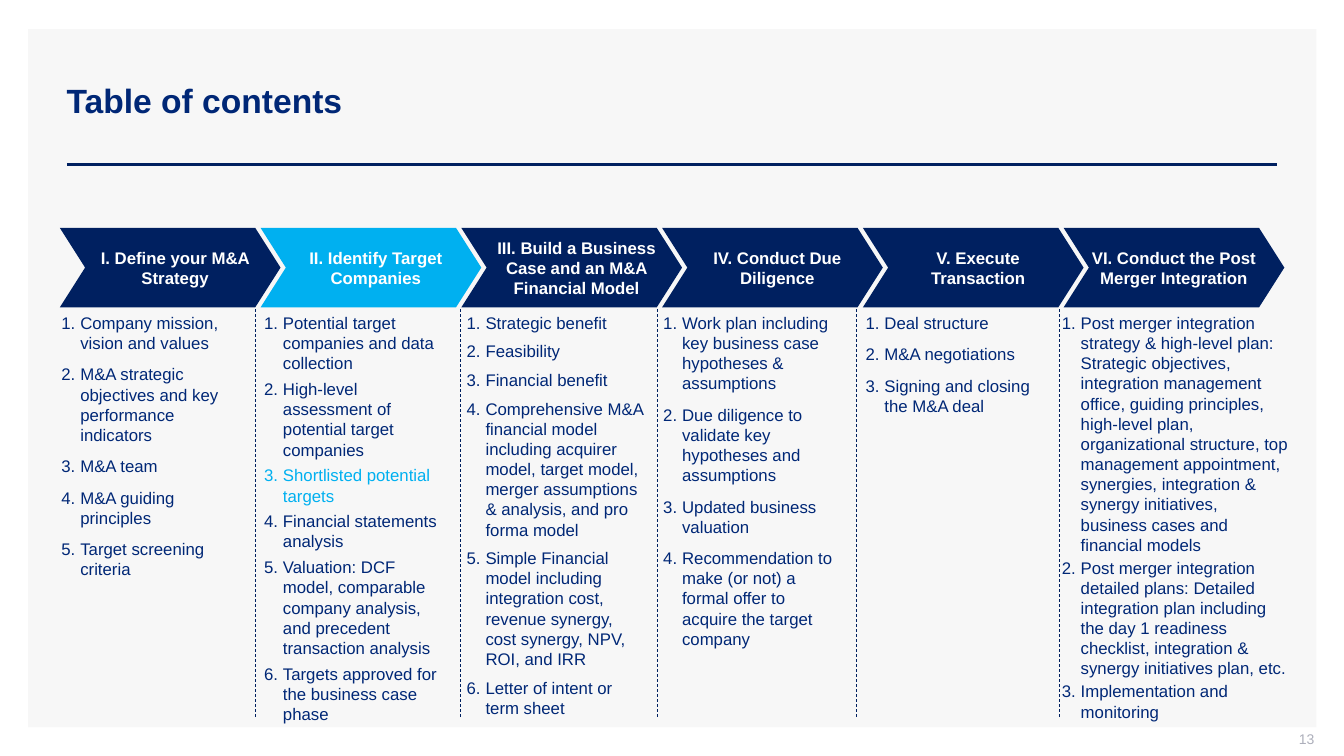
"""Build the M&A table-of-contents slide with six process stages."""
from lxml import etree
from pptx import Presentation
from pptx.dml.color import RGBColor
from pptx.enum.dml import MSO_LINE
from pptx.enum.shapes import MSO_CONNECTOR, MSO_SHAPE
from pptx.enum.text import MSO_ANCHOR, MSO_AUTO_SIZE, PP_ALIGN
from pptx.oxml.ns import qn
from pptx.util import Pt

CHEVRON, RECTANGLE = MSO_SHAPE.CHEVRON, MSO_SHAPE.RECTANGLE
STRAIGHT, DASH = MSO_CONNECTOR.STRAIGHT, MSO_LINE.DASH
MIDDLE, TOP = MSO_ANCHOR.MIDDLE, MSO_ANCHOR.TOP
LEFT, CENTER, RIGHT = PP_ALIGN.LEFT, PP_ALIGN.CENTER, PP_ALIGN.RIGHT
GROW = MSO_AUTO_SIZE.SHAPE_TO_FIT_TEXT

COLORS = {"panel": "F7F7F7", "navy": "002060", "text": "002776",
          "current": "00B0F0", "white": "FFFFFF", "number": "ADAFBB"}
FONT = "Arial"
CHEVRON_LEFT, CHEVRON_STEP = 42.7, 143.4
LIST_TOP, LIST_INDENT = 219.8, 13.5
DIVIDERS = [182.7, 328.5, 469.44, 611.5, 756.72]
CURRENT_STAGE = "II. Identify Target Companies"
CURRENT_TOPIC = "Shortlisted potential targets"

# heading, chevron left inset, list left, list width, list height, spacing, topics
STAGES = [
    ("I. Define your M&A Strategy", 7.2, 43.92, 134.64, 222.5, 4, [
        "Company mission, vision and values",
        "M&A strategic objectives and key performance indicators",
        "M&A team",
        "M&A guiding principles",
        "Target screening criteria"]),
    (CURRENT_STAGE, 7.2, 188.64, 134.64, 303.84, 2, [
        "Potential target companies and data collection",
        "High-level assessment of potential target companies",
        CURRENT_TOPIC,
        "Financial statements analysis",
        "Valuation: DCF model, comparable company analysis, and precedent "
        "transaction analysis",
        "Targets approved for the business case phase"]),
    ("III. Build a Business Case and an M&A Financial Model",
     7.2, 333.36, 134.64, 309.6, 3, [
         "Strategic benefit",
         "Feasibility",
         "Financial benefit",
         "Comprehensive M&A financial model including acquirer model, target "
         "model, merger assumptions & analysis, and pro forma model",
         "Simple Financial model including integration cost, revenue synergy, "
         "cost synergy, NPV, ROI, and IRR",
         "Letter of intent or term sheet"]),
    ("IV. Conduct Due Diligence", 7.2, 473.76, 134.64, 249.84, 4, [
        "Work plan including key business case hypotheses & assumptions",
        "Due diligence to validate key hypotheses and assumptions",
        "Updated business valuation",
        "Recommendation to make (or not) a formal offer to acquire the target "
        "company"]),
    ("V. Execute Transaction", 7.2, 618.3, 134.64, 81.36, 4, [
        "Deal structure",
        "M&A negotiations",
        "Signing and closing the M&A deal"]),
    ("VI. Conduct the Post Merger Integration", 0, 758.5, 169, 302.4, 1, [
        "Post merger integration strategy & high-level plan: Strategic "
        "objectives, integration management office, guiding principles, "
        "high-level plan, organizational structure, top management "
        "appointment, synergies, integration & synergy initiatives, business "
        "cases and financial models",
        "Post merger integration detailed plans: Detailed integration plan "
        "including the day 1 readiness checklist, integration & synergy "
        "initiatives plan, etc.",
        "Implementation and monitoring"]),
]


def rgb(name):
    """Return the named colour."""
    return RGBColor.from_string(COLORS[name])


def prepare_frame(holder, insets, anchor):
    """Set wrapping, insets and anchor, and return the text frame."""
    frame = holder.text_frame
    frame.word_wrap = True
    frame.vertical_anchor = anchor
    frame.margin_left, frame.margin_top, frame.margin_right, frame.margin_bottom = map(Pt, insets)
    return frame


def write(paragraph, text, size, color, bold=False, align=LEFT):
    """Add one formatted run to a paragraph."""
    paragraph.alignment = align
    run = paragraph.add_run()
    run.text = text
    run.font.name, run.font.size, run.font.bold = FONT, Pt(size), bold
    run.font.color.rgb = rgb(color)


def add_block(slide, kind, box, color):
    """Add a filled shape without outline or shadow."""
    block = slide.shapes.add_shape(kind, *map(Pt, box))
    block.shadow.inherit = False
    block.fill.solid()
    block.fill.fore_color.rgb = rgb(color)
    block.line.fill.background()
    return block


def add_rule(slide, start, end, width, dash=None):
    """Add a straight navy line."""
    rule = slide.shapes.add_connector(STRAIGHT, *map(Pt, start + end))
    rule.line.color.rgb = rgb("navy")
    rule.line.width = Pt(width)
    if dash:
        rule.line.dash_style = dash
    etree.SubElement(rule._element.spPr, qn("a:effectLst"))


def add_label(slide, box, insets, text, size, color, bold=False, align=LEFT):
    """Add a single-line text box."""
    label = slide.shapes.add_textbox(*map(Pt, box))
    frame = prepare_frame(label, insets, MIDDLE)
    write(frame.paragraphs[0], text, size, color, bold, align)


def add_stage(slide, index, heading, left_inset):
    """Add one chevron of the process."""
    color = "current" if heading == CURRENT_STAGE else "navy"
    left = CHEVRON_LEFT + index * CHEVRON_STEP
    stage = add_block(slide, CHEVRON, (left, 162.72, 157.68, 56.88), color)
    stage.adjustments[0] = 0.318
    frame = prepare_frame(stage, (left_inset, 3.6, 0, 3.6), MIDDLE)
    write(frame.paragraphs[0], heading, 12, "white", True, CENTER)


def number_paragraph(paragraph):
    """Give a paragraph automatic numbering with a hanging indent."""
    properties = paragraph._p.get_or_add_pPr()
    properties.set("marL", str(Pt(LIST_INDENT)))
    properties.set("indent", str(-Pt(LIST_INDENT)))
    etree.SubElement(properties, qn("a:buFont"), typeface="+mj-lt")
    etree.SubElement(properties, qn("a:buAutoNum"), type="arabicPeriod")


def add_topics(slide, left, width, height, spacing, topics):
    """Add the numbered topics below a stage."""
    column = slide.shapes.add_textbox(*map(Pt, (left, LIST_TOP, width, height)))
    frame = prepare_frame(column, (0, 3.6, 7.2, 3.6), TOP)
    frame.auto_size = GROW
    for index, topic in enumerate(topics):
        paragraph = frame.add_paragraph() if index else frame.paragraphs[0]
        number_paragraph(paragraph)
        paragraph.space_before = Pt(spacing if index else 0)
        paragraph.space_after = Pt(spacing)
        write(paragraph, topic, 12, "current" if topic == CURRENT_TOPIC else "text")


def main():
    """Build and save the slide."""
    deck = Presentation()
    deck.slide_width, deck.slide_height = Pt(960), Pt(540)
    slide = deck.slides.add_slide(deck.slide_layouts[6])
    add_block(slide, RECTANGLE, (20.16, 20.88, 920.16, 498.5), "panel")
    add_rule(slide, (47.75, 117.36), (912.24, 117.36), 2)
    add_label(slide, (40.5, 28.8, 824.4, 85.68), (7.2, 3.6, 7.2, 3.6),
              "Table of contents", 24, "text", bold=True)
    add_label(slide, (722.88, 522, 216, 15.12), (7.2, 0, 0, 3.6),
              "13", 10, "number", align=RIGHT)
    for index, (heading, left_inset, *topic_list) in enumerate(STAGES):
        add_stage(slide, index, heading, left_inset)
        add_topics(slide, *topic_list)
    for x in DIVIDERS:
        add_rule(slide, (x, 221.04), (x, 513.36), 0.5, DASH)
    deck.save("out.pptx")


if __name__ == "__main__":
    main()
